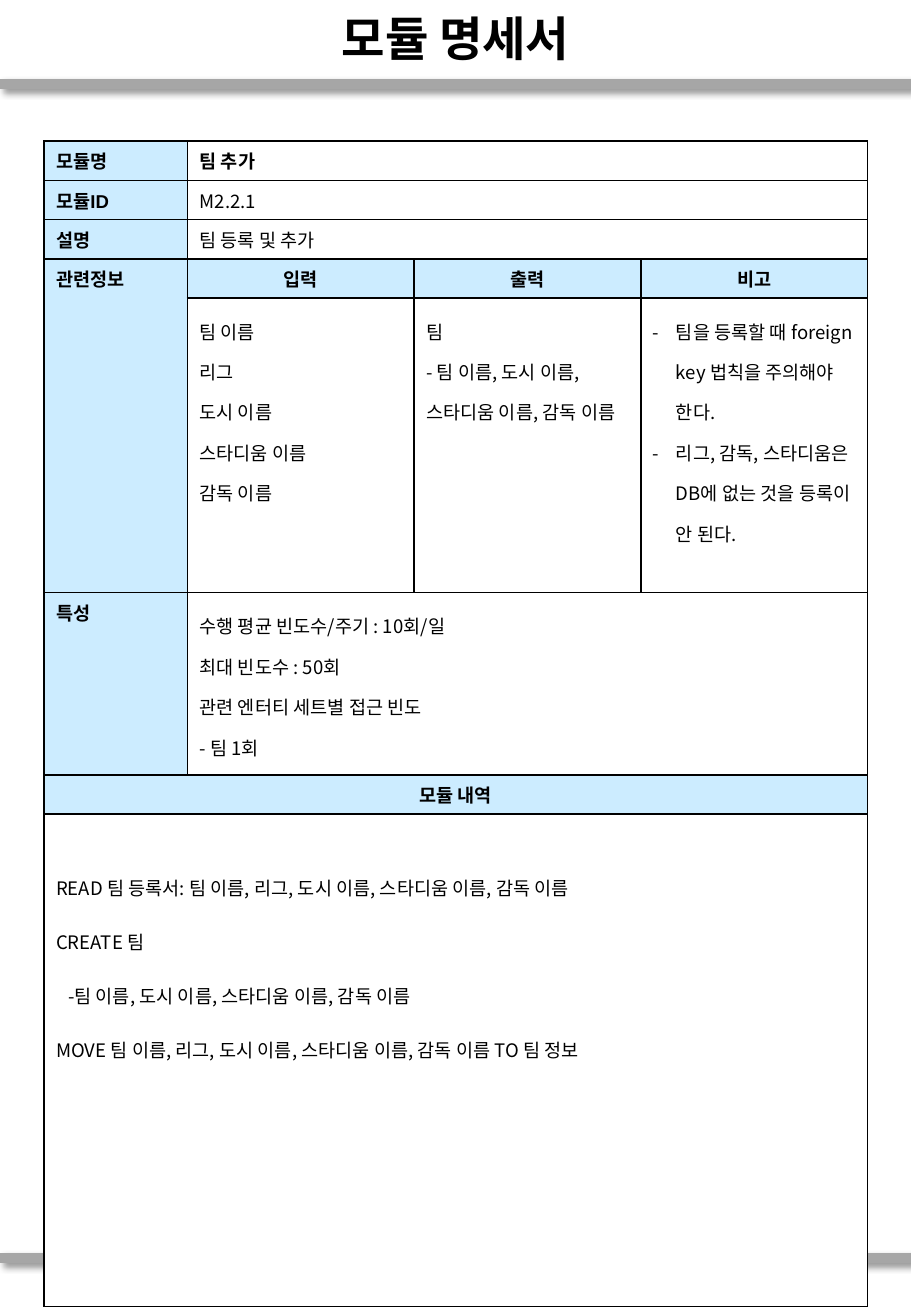
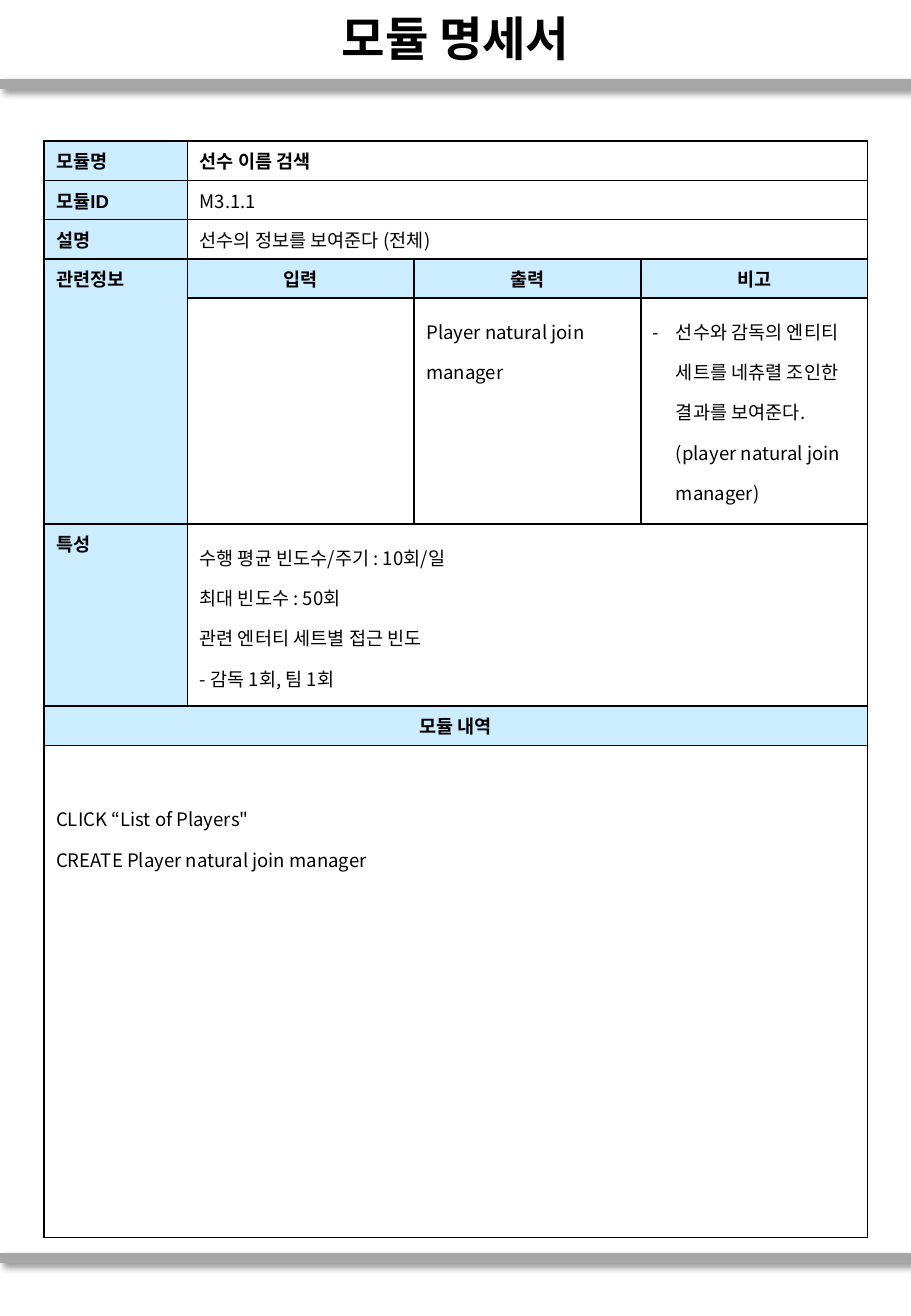
from dataclasses import dataclass

from lxml import etree
from pptx import Presentation
from pptx.dml.color import RGBColor
from pptx.enum import shapes, text
from pptx.oxml import ns, parse_xml
from pptx.util import Cm, Pt


@dataclass(frozen=True)
class Theme:
    ink: RGBColor = RGBColor(0x00, 0x00, 0x00)
    paper: RGBColor = RGBColor(0xFF, 0xFF, 0xFF)
    label: RGBColor = RGBColor(0xCC, 0xEC, 0xFF)
    band: RGBColor = RGBColor(0xA6, 0xA6, 0xA6)
    body_font: str = "Noto Sans CJK KR"
    label_font: str = "Arial"
    title_size: Pt = Pt(28)
    text_size: Pt = Pt(11)
    band_width: Pt = Pt(6)


THEME = Theme()
CENTER = text.PP_ALIGN.CENTER
NAMESPACE = ns.nsdecls("a")
SHADOW = (
    f'<a:effectLst {NAMESPACE}><a:outerShdw blurRad="50800" dist="38100" dir="2700000" '
    'algn="tl" rotWithShape="0"><a:srgbClr val="000000"><a:alpha val="40000"/>'
    "</a:srgbClr></a:outerShdw></a:effectLst>"
)

PAGE_WIDTH, PAGE_HEIGHT = Cm(19.05), Cm(27.51)
BAND_TOPS = (Cm(1.75), Cm(26.3))
COLUMN_WIDTHS = [Cm(3)] + [Cm(4.74)] * 3
LINE_ROW = Cm(0.82)
MERGES = [((row, 1), (row, 3)) for row in (0, 1, 2, 5)]
MERGES += [((row, 0), (row, 3)) for row in (6, 7)]
MERGES += [((3, 0), (4, 0))]
ROW_LABELS = {0: "모듈명", 1: "모듈ID", 2: "설명", 3: "관련정보", 5: "특성"}
COLUMN_LABELS = {(3, 1): "입력", (3, 2): "출력", (3, 3): "비고", (6, 0): "모듈 내역"}
FREQUENCIES = ["수행 평균 빈도수/주기 : 10회/일", "최대 빈도수 : 50회", "관련 엔터티 세트별 접근 빈도"]

# Each step is its wording, line spacing and left indent in centimetres.
MODULES = [
    {
        "name": "팀 추가",
        "id": "M2.2.1",
        "summary": "팀 등록 및 추가",
        "related_height": Cm(6.16),
        "inputs": ["팀 이름", "리그", "도시 이름", "스타디움 이름", "감독 이름"],
        "outputs": ["팀", "- 팀 이름, 도시 이름, 스타디움 이름, 감독 이름"],
        "remarks": [
            "팀을 등록할 때 foreign key 법칙을 주의해야 한다.",
            "리그, 감독, 스타디움은 DB에 없는 것을 등록이 안 된다.",
        ],
        "access": "- 팀 1회",
        "steps": [
            ("READ 팀 등록서: 팀 이름, 리그, 도시 이름, 스타디움 이름, 감독 이름", 2, 0),
            ("CREATE 팀", 2, 0),
            ("-팀 이름, 도시 이름, 스타디움 이름, 감독 이름", 2, 0.25),
            ("MOVE 팀 이름, 리그, 도시 이름, 스타디움 이름, 감독 이름 TO 팀 정보", 2, 0),
        ],
    },
    {
        "name": "선수 이름 검색",
        "id": "M3.1.1",
        "summary": "선수의 정보를 보여준다 (전체)",
        "related_height": Cm(4.72),
        "inputs": [],
        "outputs": ["Player natural join manager"],
        "remarks": [
            "선수와 감독의 엔티티 세트를 네츄렬 조인한 결과를 보여준다. "
            "(player natural join manager)",
        ],
        "access": "- 감독 1회, 팀 1회",
        "steps": [
            ('CLICK “List of Players"', 2, 0),
            ("CREATE Player natural join manager", 1.5, 0),
        ],
    },
]


def write(frame, lines, font=THEME.body_font, size=THEME.text_size,
          bold=False, align=None, spacing=None):
    """Put one paragraph per line into the frame and format its runs."""
    frame.text = "\n".join(lines)
    for para in frame.paragraphs:
        para.alignment = align
        para.line_spacing = spacing
        for span in para.runs:
            span.font.size = size
            span.font.bold = bold
            span.font.color.rgb = THEME.ink
            span.font.name = font
            east_asian = etree.SubElement(span.font._element, ns.qn("a:ea"))
            east_asian.set("typeface", THEME.body_font)


def style_cell(cell, fill):
    cell.fill.solid()
    cell.fill.fore_color.rgb = fill
    properties = cell._tc.get_or_add_tcPr()
    for position, side in enumerate("LRTB"):
        border = parse_xml(
            f'<a:ln{side} {NAMESPACE} w="12700"><a:solidFill>'
            f'<a:srgbClr val="{THEME.ink}"/></a:solidFill></a:ln{side}>'
        )
        properties.insert(position, border)


deck = Presentation()
deck.slide_width, deck.slide_height = PAGE_WIDTH, PAGE_HEIGHT

for module in MODULES:
    page = deck.slides.add_slide(deck.slide_layouts[6])

    for top in BAND_TOPS:
        band = page.shapes.add_connector(
            shapes.MSO_CONNECTOR.STRAIGHT, 0, top, PAGE_WIDTH, top)
        band.line.color.rgb = THEME.band
        band.line.width = THEME.band_width
        band._element.spPr.append(parse_xml(SHADOW))

    title = page.shapes.add_textbox(0, Cm(0.03), PAGE_WIDTH, Cm(1.52))
    title.text_frame.word_wrap = True
    title.text_frame.vertical_anchor = text.MSO_ANCHOR.MIDDLE
    write(title.text_frame, ["모듈 명세서"], size=THEME.title_size, bold=True, align=CENTER)

    row_heights = [LINE_ROW] * 4 + [module["related_height"], Cm(3.81), LINE_ROW, Cm(10.29)]
    table = page.shapes.add_table(
        len(row_heights), len(COLUMN_WIDTHS), Cm(0.92), Cm(2.95),
        sum(COLUMN_WIDTHS), sum(row_heights)).table
    table.first_row = table.horz_banding = False
    for column, width in zip(table.columns, COLUMN_WIDTHS):
        column.width = width
    for row, height in zip(table.rows, row_heights):
        row.height = height
    for first, last in MERGES:
        table.cell(*first).merge(table.cell(*last))

    for row in range(len(row_heights)):
        for column in range(len(COLUMN_WIDTHS)):
            is_label = row in (3, 6) or (column == 0 and row != 7)
            style_cell(table.cell(row, column), THEME.label if is_label else THEME.paper)

    for row, label in ROW_LABELS.items():
        write(table.cell(row, 0).text_frame, [label], THEME.label_font, bold=True)
    for place, label in COLUMN_LABELS.items():
        write(table.cell(*place).text_frame, [label], THEME.label_font,
              bold=True, align=CENTER)

    for row, key in enumerate(("name", "id", "summary")):
        write(table.cell(row, 1).text_frame, [module[key]], bold=key == "name")
    for column, key in enumerate(("inputs", "outputs", "remarks"), start=1):
        write(table.cell(4, column).text_frame, module[key], spacing=1.5)
    write(table.cell(5, 1).text_frame, FREQUENCIES + [module["access"]], spacing=1.5)

    for para in table.cell(4, 3).text_frame.paragraphs:
        properties = para._p.get_or_add_pPr()
        properties.set("marL", str(Cm(0.48)))
        properties.set("indent", str(-Cm(0.48)))
        etree.SubElement(properties, ns.qn("a:buFont")).set("typeface", THEME.body_font)
        etree.SubElement(properties, ns.qn("a:buChar")).set("char", "-")

    details = table.cell(7, 0)
    details.margin_top = Cm(0.69)
    write(details.text_frame, [step[0] for step in module["steps"]])
    for para, (_, spacing, indent) in zip(details.text_frame.paragraphs, module["steps"]):
        para.line_spacing = spacing
        para._p.get_or_add_pPr().set("marL", str(Cm(indent)))

deck.save("out.pptx")
